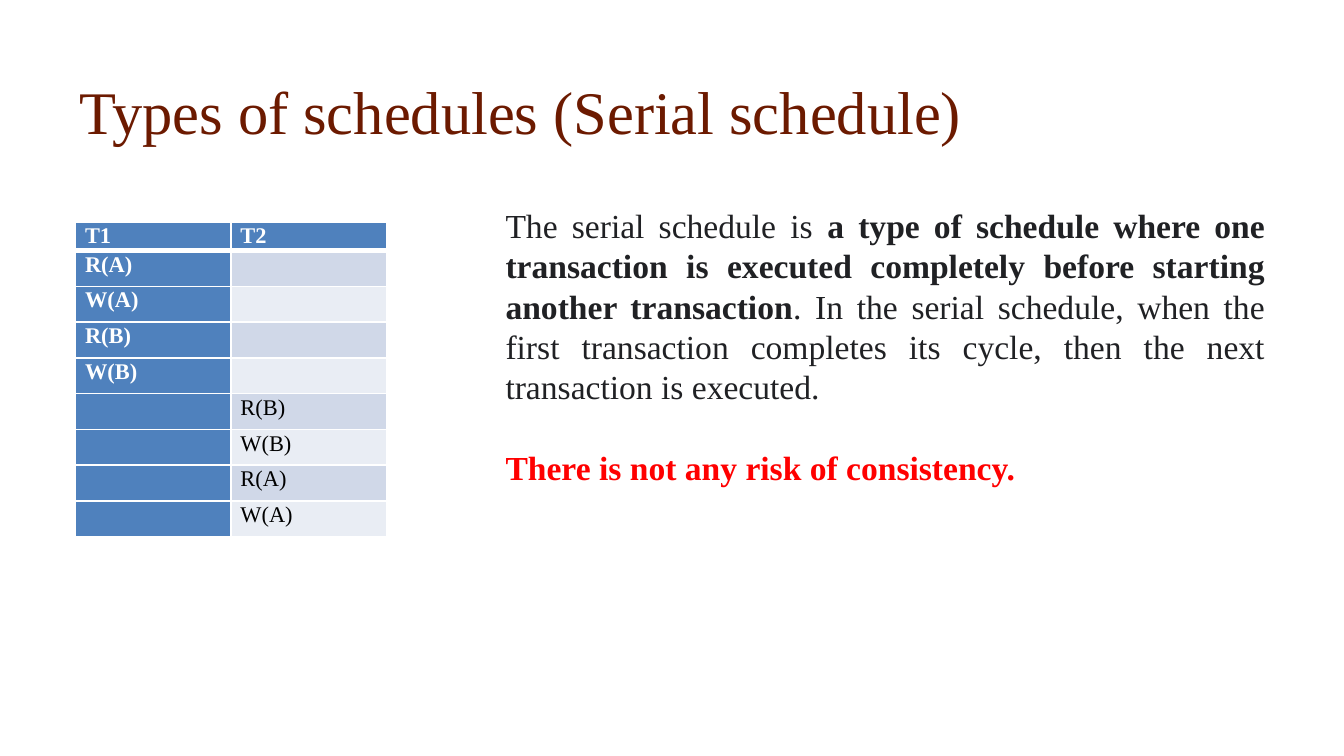
from dataclasses import dataclass

from lxml import etree
from pptx import Presentation
from pptx.dml.color import RGBColor
from pptx.enum.text import MSO_ANCHOR, PP_ALIGN
from pptx.oxml.ns import qn
from pptx.util import Inches, Pt

JUSTIFY = PP_ALIGN.JUSTIFY
TOP = MSO_ANCHOR.TOP
SLIDE_WIDTH = Inches(10)
SLIDE_HEIGHT = SLIDE_WIDTH * 9 // 16
FONT = "Times New Roman"
WHITE = "FFFFFF"
BLACK = "000000"
BLUE = "4F81BD"
BANDS = ("D0D8E8", "E9EDF4")
BROWN = "6C1A00"
DARK = "202124"
RED = "FF0000"
HEADER_HEIGHT = Inches(0.18)
CELL_SIZE = 12


@dataclass(frozen=True)
class Area:
    """Percentages of the slide's width and height."""
    left: float
    top: float
    width: float
    height: float

    def lengths(self) -> tuple[int, int, int, int]:
        return (
            int(SLIDE_WIDTH * self.left / 100),
            int(SLIDE_HEIGHT * self.top / 100),
            int(SLIDE_WIDTH * self.width / 100),
            int(SLIDE_HEIGHT * self.height / 100),
        )


@dataclass(frozen=True)
class Span:
    text: str
    size: float
    color: str
    bold: bool = False


TITLE_AREA = Area(4.92, 2.5, 90.2, 14.93)
TABLE_AREA = Area(5.63, 29.33, 23.14, 41.1)
BODY_AREA = Area(36.63, 26.25, 58.5, 39.47)

TITLE = Span("Types of schedules (Serial schedule)", 32.4, BROWN)
DEFINITION = (
    Span("The serial schedule is ", 18, DARK),
    Span(
        "a type of schedule where one transaction is executed completely "
        "before starting another transaction", 18, DARK, True,
    ),
    Span(
        ". In the serial schedule, when the first transaction completes its "
        "cycle, then the next transaction is executed.", 18, DARK,
    ),
)
CONCLUSION = Span("There is not any risk of consistency.", 18, RED, True)
SCHEDULE = (
    ("T1", "T2"),
    ("R(A)", ""),
    ("W(A)", ""),
    ("R(B)", ""),
    ("W(B)", ""),
    ("", "R(B)"),
    ("", "W(B)"),
    ("", "R(A)"),
    ("", "W(A)"),
)


def rgb(color: str) -> RGBColor:
    return RGBColor.from_string(color)


def add_span(paragraph, span: Span) -> None:
    run = paragraph.add_run()
    run.text = span.text
    run.font.name = FONT
    run.font.size = Pt(span.size)
    run.font.bold = span.bold
    run.font.color.rgb = rgb(span.color)


def add_text_frame(slide, area: Area):
    text_frame = slide.shapes.add_textbox(*area.lengths()).text_frame
    text_frame.word_wrap = True
    text_frame.vertical_anchor = TOP
    return text_frame


def draw_title(slide) -> None:
    text_frame = add_text_frame(slide, TITLE_AREA)
    text_frame.margin_top = Inches(0.41)
    text_frame.margin_bottom = 0
    paragraph = text_frame.paragraphs[0]
    paragraph.alignment = JUSTIFY
    add_span(paragraph, TITLE)


def draw_body(slide) -> None:
    text_frame = add_text_frame(slide, BODY_AREA)
    definition = text_frame.paragraphs[0]
    conclusion = text_frame.add_paragraph()
    conclusion.space_before = Pt(21.6)
    for paragraph, spans in ((definition, DEFINITION), (conclusion, (CONCLUSION,))):
        paragraph.alignment = JUSTIFY
        paragraph.line_spacing = Pt(21.6)
        for span in spans:
            add_span(paragraph, span)


def set_borders(cell, bottom: float, top: float) -> None:
    properties = cell._tc.get_or_add_tcPr()
    for tag, width in (("lnL", 1), ("lnR", 1), ("lnT", top), ("lnB", bottom)):
        line = etree.SubElement(properties, qn(f"a:{tag}"), w=str(Pt(width)))
        fill = etree.SubElement(line, qn("a:solidFill"))
        etree.SubElement(fill, qn("a:srgbClr"), val=WHITE)


def format_cell(cell, text: str, row: int, column: int) -> None:
    header = row == 0
    emphasized = header or column == 0
    set_borders(cell, 3 if header else 1, 3 if row == 1 else 1)
    cell.fill.solid()
    cell.fill.fore_color.rgb = rgb(BLUE if emphasized else BANDS[(row - 1) % 2])
    cell.margin_left = cell.margin_right = Inches(0.07)
    cell.margin_top = cell.margin_bottom = 0
    paragraph = cell.text_frame.paragraphs[0]
    paragraph.line_spacing = 1.07
    paragraph.space_after = Pt(8)
    if text:
        add_span(paragraph, Span(text, CELL_SIZE, WHITE if emphasized else BLACK, emphasized))
    else:
        etree.SubElement(paragraph._p, qn("a:endParaRPr"), sz=str(CELL_SIZE * 100))


def draw_schedule(slide) -> None:
    left, top, width, height = TABLE_AREA.lengths()
    row_count, column_count = len(SCHEDULE), len(SCHEDULE[0])
    body_height = (height - HEADER_HEIGHT) // (row_count - 1)
    table = slide.shapes.add_table(row_count, column_count, left, top, width, height).table
    for column in table.columns:
        column.width = width // column_count
    for row, texts in enumerate(SCHEDULE):
        table.rows[row].height = body_height if row else HEADER_HEIGHT
        for column, text in enumerate(texts):
            format_cell(table.cell(row, column), text, row, column)


def main() -> None:
    presentation = Presentation()
    presentation.slide_width = SLIDE_WIDTH
    presentation.slide_height = SLIDE_HEIGHT
    slide = presentation.slides.add_slide(presentation.slide_layouts[6])
    draw_title(slide)
    draw_schedule(slide)
    draw_body(slide)
    presentation.save("out.pptx")


if __name__ == "__main__":
    main()
